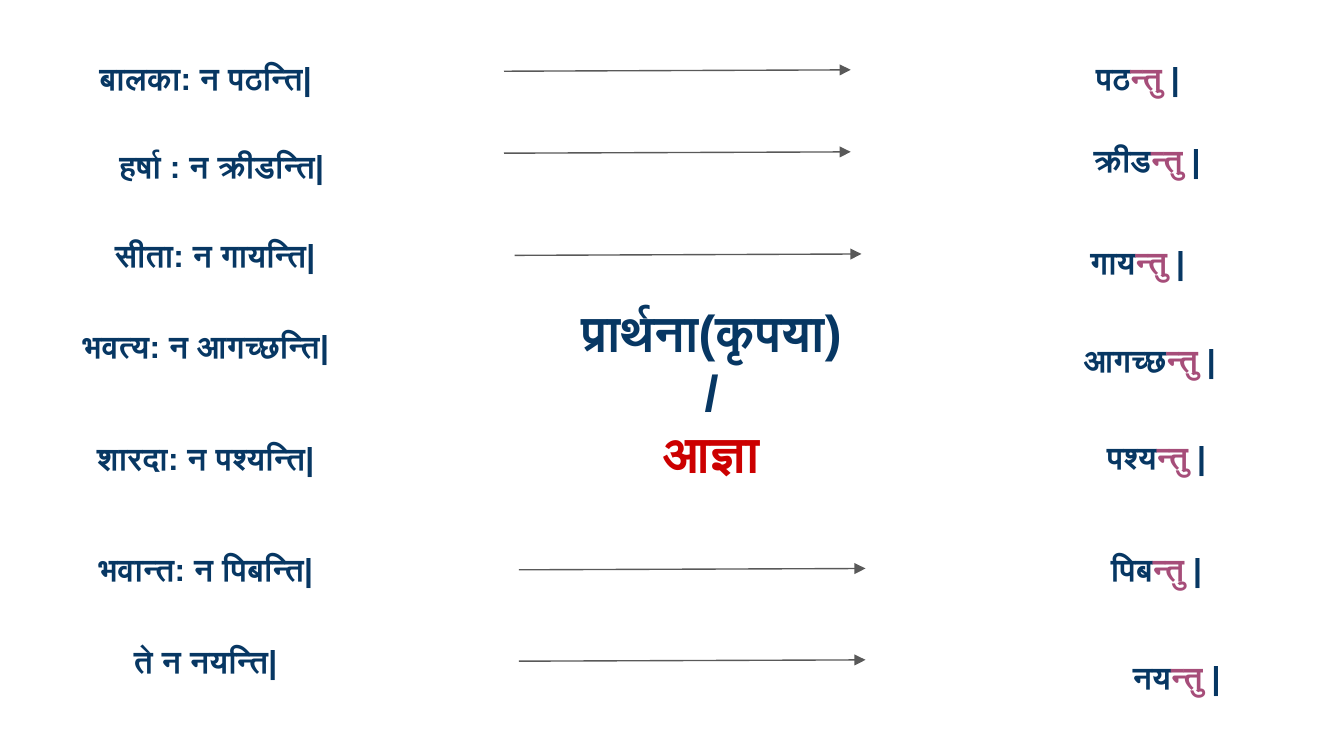
from lxml import etree
from pptx import Presentation
from pptx import util as u
from pptx.dml.color import RGBColor
from pptx.enum import shapes, text
from pptx.oxml.ns import qn

COLORS = {"navy": "073763", "plum": "A64D79", "red": "CC0000", "grey": "595959"}
COLS, ROWS = 100, 56.25
CELL = u.Inches(0.1)
LINE_ROWS = 4.9

STATEMENTS = [
    ("बालका: न पठन्ति|", 0.9, 0, 21.4),
    ("हर्षा : न क्रीडन्ति|", 2.5, 6.6, 20.6),
    ("सीता: न गायन्ति|", 2.5, 13.2, 19.6),
    ("भवत्य: न आगच्छन्ति|", 0, 20, 23.2),
    ("शारदा: न पश्यन्ति|", 0, 28.3, 23.2),
    ("भवान्त: न पिबन्ति|", 0, 36.6, 23.2),
    ("ते न नयन्ति|", 1.8, 43.4, 19.6),
]
COMMANDS = [
    ("पठ", 0, 0, 11.5),
    ("क्रीड", 0.7, 6.1, 11.5),
    ("गाय", 0, 13.7, 11.5),
    ("आगच्छ", 0.2, 21, 12.9),
    ("पश्य", 0.7, 28.2, 12.9),
    ("पिब", 0.7, 36.6, 12.9),
    ("नय", 2.2, 44.6, 12.9),
]
ARROWS = [(0, 0), (0, 6.1), (0.8, 13.7), (1.1, 37.1), (1.1, 43.9)]


def cells(*counts):
    """Turn grid counts into lengths."""
    return [u.Emu(round(n * CELL)) for n in counts]


def add_label(s, box, lines, size):
    """Centre lines of (text, colour) runs in a box."""
    tf = s.shapes.add_textbox(*cells(*box)).text_frame
    tf.word_wrap = True
    tf.auto_size = text.MSO_AUTO_SIZE.SHAPE_TO_FIT_TEXT
    tf.vertical_anchor = text.MSO_ANCHOR.MIDDLE
    tf.margin_left = tf.margin_right = tf.margin_top = tf.margin_bottom = CELL
    for i, runs in enumerate(lines):
        p = tf.add_paragraph() if i else tf.paragraphs[0]
        p.alignment = text.PP_ALIGN.CENTER
        p.font.name, p.font.size, p.font.bold = "Arial", u.Pt(size), True
        for words, color in runs:
            r = p.add_run()
            r.text = words
            r.font.color.rgb = RGBColor.from_string(COLORS[color])


def add_statements(s, left, top):
    """Place the negative statements down the left side."""
    for words, dx, dy, width in STATEMENTS:
        box = (left + dx, top + dy, width, LINE_ROWS)
        add_label(s, box, [[(words, "navy")]], 17)


def add_commands(s, left, top):
    """Place the imperative verbs with their ending highlighted."""
    for stem, dx, dy, width in COMMANDS:
        box = (left + dx, top + dy, width, LINE_ROWS)
        runs = [(stem, "navy"), ("न्तु", "plum"), (" |", "navy")]
        add_label(s, box, [runs], 17)


def add_arrows(s, left, top, width, rise):
    """Draw the arrows that lead from statements to commands."""
    for dx, dy in ARROWS:
        x, y = left + dx, top + dy
        ends = cells(x, y + rise, x + width, y)
        sp = s.shapes.add_connector(shapes.MSO_CONNECTOR.STRAIGHT, *ends)
        sp.line.color.rgb = RGBColor.from_string(COLORS["grey"])
        sp.line.width = u.Pt(0.75)
        ln = sp._element.spPr.find(qn("a:ln"))
        etree.SubElement(ln, qn("a:tailEnd"), type="triangle")
        etree.SubElement(sp._element.spPr, qn("a:effectLst"))


def add_heading(s, *box):
    """Place the request or order heading in the middle."""
    lines = [("प्रार्थना(कृपया)", "navy"), ("/", "navy"), ("आज्ञा", "red")]
    add_label(s, box, [[line] for line in lines], 27)


def main():
    """Build and save the slide."""
    prs = Presentation()
    prs.slide_width, prs.slide_height = cells(COLS, ROWS)
    s = prs.slides.add_slide(prs.slide_layouts[6])
    add_statements(s, 3.7, 3.3)
    add_heading(s, 39.4, 21.3, 27.1, 15.7)
    add_commands(s, 78.9, 3.3)
    add_arrows(s, 37.5, 5.2, 25.8, 0.1)
    prs.save("out.pptx")


if __name__ == "__main__":
    main()
